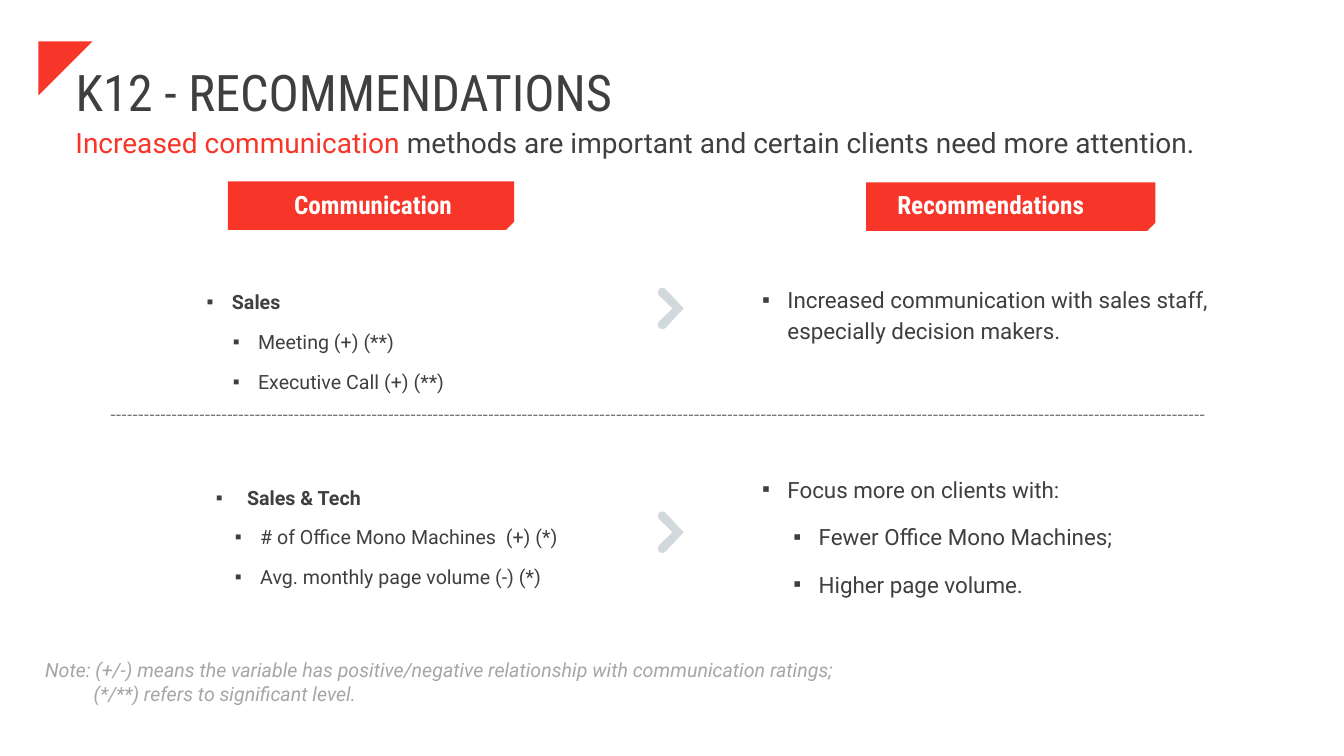
from math import cos, radians, sin

from lxml import etree
from pptx import Presentation
from pptx.dml.color import RGBColor
from pptx.enum.dml import MSO_LINE_DASH_STYLE as DASH
from pptx.enum.shapes import MSO_CONNECTOR, MSO_SHAPE
from pptx.enum.text import MSO_ANCHOR, MSO_AUTO_SIZE, PP_ALIGN
from pptx.oxml.ns import qn
from pptx.util import Inches, Pt

RED, DARK, GREY, PALE, WHITE = "F83529", "3F3F3F", "A6A6A6", "D2D9DD", "FFFFFF"
BODY, HEAD = "Roboto", "Roboto Condensed"


def rgb(value):
    """Turn a hex string into a colour."""
    return RGBColor.from_string(value)


class SlideBuilder:
    """Holds the style and the current slide."""

    def __init__(self, prs):
        """Add a slide with a title and four body placeholders."""
        self.s = prs.slides.add_slide(prs.slide_layouts[4])

    def place(self, sp, box):
        """Move a shape to left, top, width, height in inches."""
        sp.left, sp.top, sp.width, sp.height = map(Inches, box)

    def frame(self, sp, anchor=MSO_ANCHOR.TOP, pad=(0.1, 0.05)):
        """Set wrapping, anchor and insets of a text frame."""
        tf = sp.text_frame
        tf.word_wrap = True
        tf.auto_size = MSO_AUTO_SIZE.NONE
        tf.vertical_anchor = anchor
        tf.margin_left = tf.margin_right = Inches(pad[0])
        tf.margin_top = tf.margin_bottom = Inches(pad[1])
        return tf

    def run(self, p, text, size, color=DARK, font=BODY, bold=False, italic=False):
        """Add one formatted run."""
        r = p.add_run()
        r.text = text
        r.font.name, r.font.size = font, Pt(size)
        r.font.bold, r.font.italic = bold, italic
        r.font.color.rgb = rgb(color)

    def indent(self, p, left, hang=0.0):
        """Set the left margin and hanging indent of a paragraph."""
        pPr = p._p.get_or_add_pPr()
        pPr.set("marL", str(Inches(left)))
        pPr.set("indent", str(-Inches(hang)))
        return pPr

    def paint(self, sp, color):
        """Fill a shape flat, without line or shadow."""
        sp.shadow.inherit = False
        sp.fill.solid()
        sp.fill.fore_color.rgb = rgb(color)
        sp.line.fill.background()

    def title(self, text, box):
        """Fill the title placeholder."""
        sp = self.s.shapes.title
        self.place(sp, box)
        p = self.frame(sp, MSO_ANCHOR.MIDDLE).paragraphs[0]
        p.alignment, p.line_spacing = PP_ALIGN.LEFT, 0.9
        self.run(p, text, 36, font=HEAD)

    def text(self, box, anchor=MSO_ANCHOR.TOP, pad=(0.1, 0.05)):
        """Add an empty text box and return its frame."""
        return self.frame(self.s.shapes.add_textbox(*map(Inches, box)), anchor, pad)

    def bullets(self, idx, box, items, size, indents, spacing, before, after=0,
                pad=(0.1, 0.05), bold_head=False):
        """Fill a body placeholder with one heading bullet and its sub-bullets."""
        sp = self.s.placeholders[idx]
        self.place(sp, box)
        tf = self.frame(sp, pad=pad)
        for i, item in enumerate(items):
            p = tf.add_paragraph() if i else tf.paragraphs[0]
            p.level = min(i, 1)
            pPr = self.indent(p, *indents[p.level])
            etree.SubElement(pPr, qn("a:buChar")).set("char", "▪")
            p.alignment, p.line_spacing = PP_ALIGN.LEFT, spacing
            p.space_before, p.space_after = Pt(before if i else 0), Pt(after)
            self.run(p, item, size, bold=bold_head and i == 0)

    def banner(self, left, top, width, text, align):
        """Add a red label with its lower right corner cut."""
        sp = self.s.shapes.add_shape(MSO_SHAPE.SNIP_1_RECTANGLE,
                                     *map(Inches, (left, top, width, 0.48)))
        sp._element.spPr.find(qn("a:xfrm")).set("flipV", "1")
        self.paint(sp, RED)
        box = (left + 0.04, 1.74, width - 0.04, 0.57)
        p = self.text(box, MSO_ANCHOR.MIDDLE, (0.27, 0.13)).paragraphs[0]
        p.alignment = align
        self.run(p, text, 18, WHITE, HEAD, bold=True)

    def outline(self, points, color):
        """Add a filled polygon from points in inches."""
        first, *rest = [(Inches(x), Inches(y)) for x, y in points]
        builder = self.s.shapes.build_freeform(*first)
        builder.add_line_segments(rest, close=True)
        self.paint(builder.convert_to_shape(), color)

    def chevron(self, x, y):
        """Add a round-ended chevron with its inner corner at x, y."""
        def cap(dy, start):
            angles = [radians(start + step) for step in range(0, 181, 15)]
            return [(x - 0.1 + 0.045 * cos(a), y + dy + 0.045 * sin(a)) for a in angles]

        self.outline(cap(-0.16, 135) + [(x + 0.11, y)] + cap(0.16, 45) + [(x, y)], PALE)

    def divider(self, x1, x2, y):
        """Add a dashed, partly transparent horizontal line."""
        ends = map(Inches, (x1, y, x2, y))
        line = self.s.shapes.add_connector(MSO_CONNECTOR.STRAIGHT, *ends)
        line.line.width, line.line.dash_style = Pt(1), DASH.SQUARE_DOT
        line.line.color.rgb = rgb(DARK)
        spPr = line._element.spPr
        etree.SubElement(next(spPr.iter(qn("a:srgbClr"))), qn("a:alpha")).set("val", "70000")
        next(spPr.iter(qn("a:prstDash"))).set("val", "sysDash")
        etree.SubElement(spPr, qn("a:effectLst"))


def main():
    """Build the recommendations slide."""
    prs = Presentation()
    prs.slide_width, prs.slide_height = Inches(13.33), Inches(7.5)
    b = SlideBuilder(prs)

    b.outline([(0.38, 0.41), (0.92, 0.41), (0.38, 0.95)], RED)
    b.title("K12 - RECOMMENDATIONS", (0.65, 0.22, 12.21, 1.45))
    p = b.text((0.65, 1.23, 11.5, 0.3)).paragraphs[0]
    p.line_spacing = 0.9
    b.run(p, "Increased communication ", 20, RED)
    b.run(p, "methods are important and certain clients need more attention.", 20)

    b.banner(2.26, 1.8, 2.84, "Communication", PP_ALIGN.CENTER)
    b.banner(8.59, 1.81, 2.87, "Recommendations", PP_ALIGN.LEFT)

    methods = dict(size=14, spacing=1.5, before=3.3, pad=(0.27, 0.13), bold_head=True)
    b.bullets(1, (1.78, 2.63, 4.28, 1.3),
              ["Sales", "Meeting (+) (**)", "Executive Call (+) (**)"],
              indents=[(0.25, 0.25), (0.51, 0.25)], **methods)
    b.bullets(3, (1.87, 4.57, 4.28, 1.54),
              ["Sales & Tech", "# of Office Mono Machines  (+) (*)",
               "Avg. monthly page volume (-) (*)"],
              indents=[(0.31, 0.31), (0.44, 0.25)], **methods)

    advice = dict(size=16, spacing=Pt(22), before=6, after=6,
                  indents=[(0.25, 0.25), (0.56, 0.25)])
    b.bullets(2, (7.46, 2.75, 5.12, 0.7),
              ["Increased communication with sales staff, especially decision makers."],
              **advice)
    b.bullets(4, (7.46, 4.63, 5.12, 1.72),
              ["Focus more on clients with:", "Fewer Office Mono Machines;",
               "Higher page volume."], **advice)

    for y in (3.06, 5.28):
        b.chevron(6.67, y)
    b.divider(1.1, 11.95, 4.12)

    tf = b.text((0.35, 6.48, 8.74, 0.57))
    b.run(tf.paragraphs[0], "Note: (+/-) means the variable has positive/negative "
          "relationship with communication ratings;", 14, GREY, italic=True)
    p = tf.add_paragraph()
    b.indent(p, 0.48)
    b.run(p, "(*/**) refers to significant level.", 14, GREY, italic=True)

    prs.save("out.pptx")


if __name__ == "__main__":
    main()
